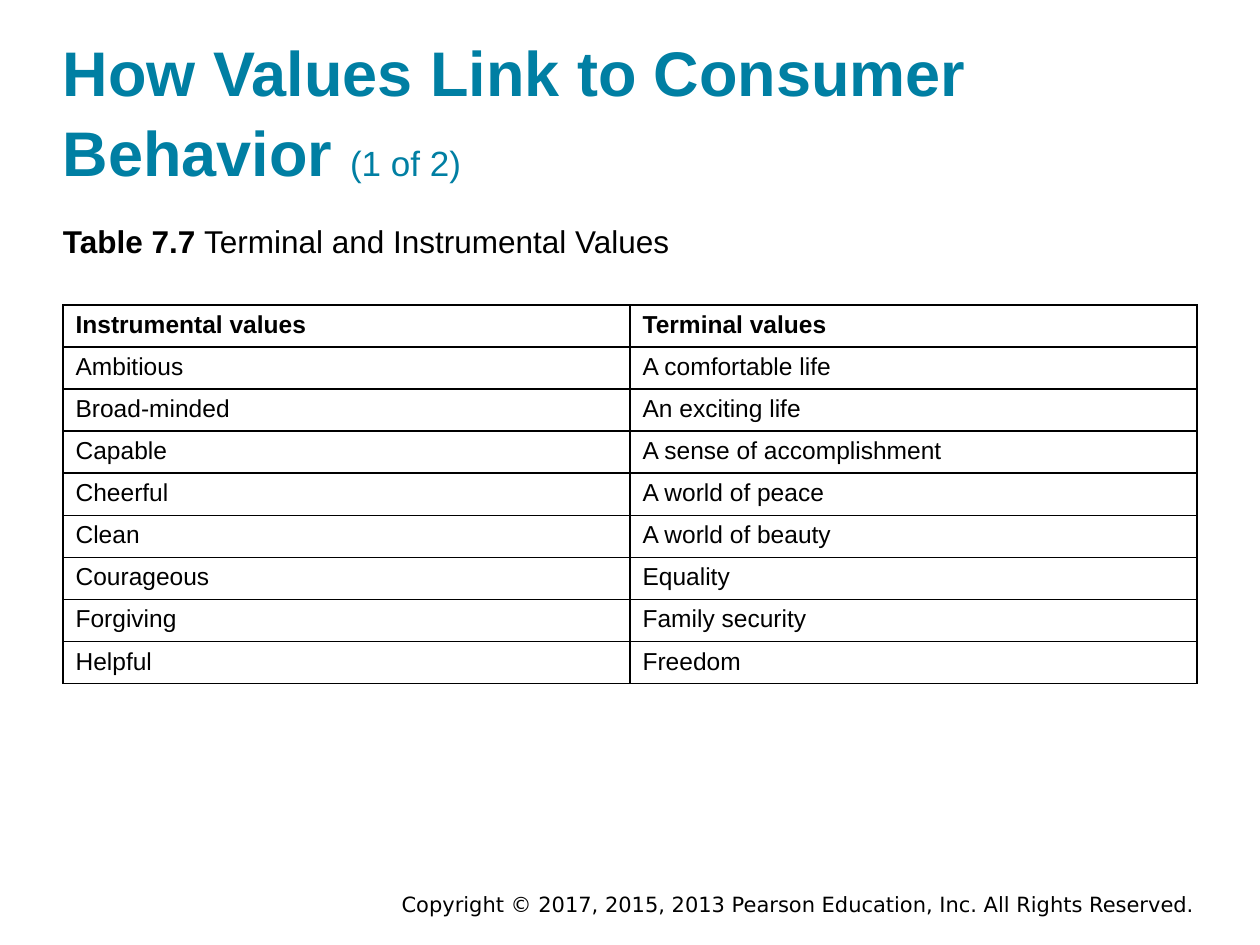
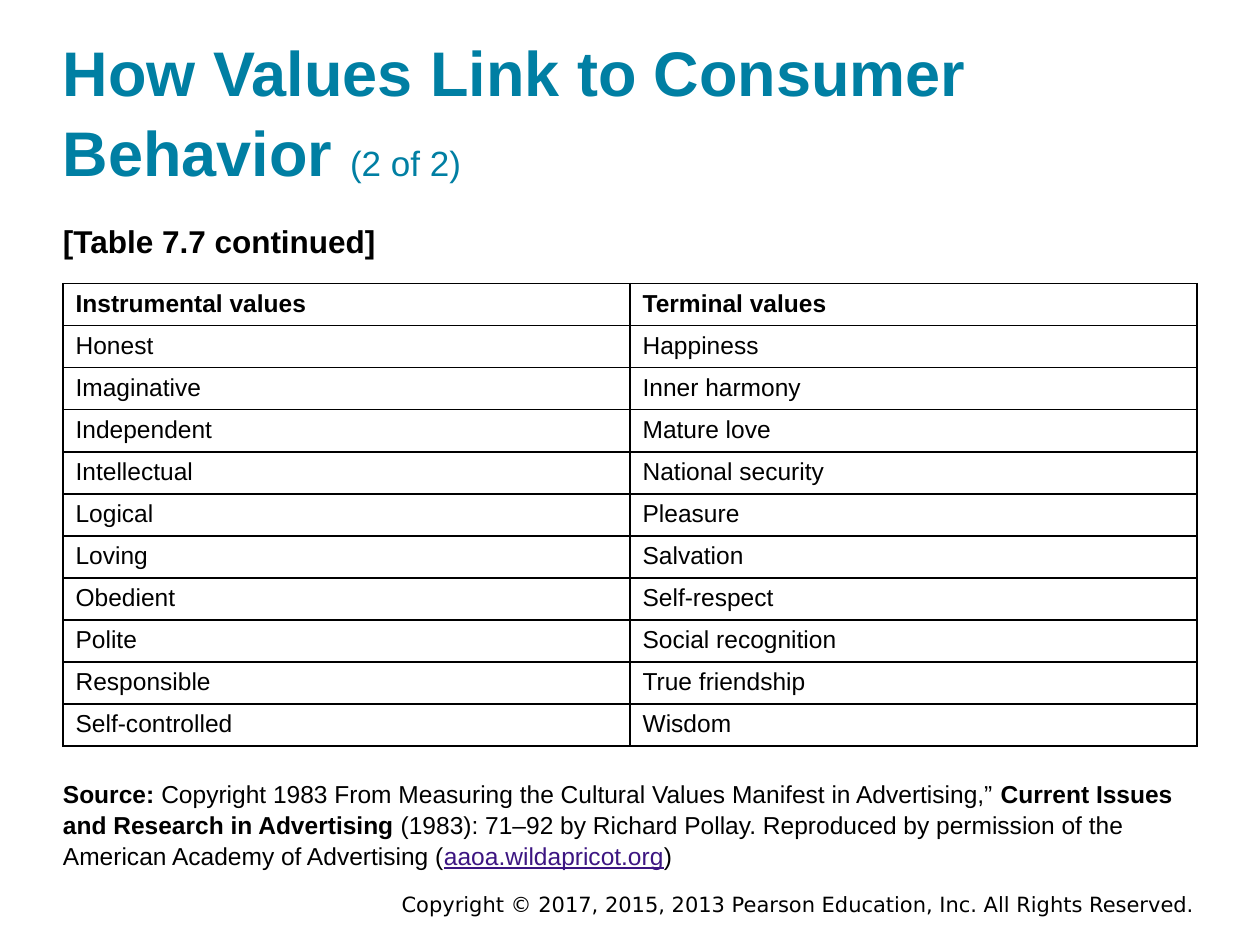
from dataclasses import dataclass
from typing import Optional

from lxml import etree
from pptx import Presentation
from pptx import util as u
from pptx.dml.color import RGBColor
from pptx.enum import text as txt
from pptx.oxml.ns import qn

COLOURS = {"heading": "007FA3", "body": "000000", "link": "3C1581", "rule": "000000"}
FONT, FOOTER_FONT = "Arial", "DejaVu Sans"
LEFT, CONTENT_WIDTH = 0.5, 9
ROW_HEIGHT = 0.27
LINE_SPACING = 1.05
HEADING = "How Values Link to Consumer Behavior "
COPYRIGHT = "Copyright © 2017, 2015, 2013 Pearson Education, Inc. All Rights Reserved."
COLUMN_HEADS = ("Instrumental values", "Terminal values")


@dataclass(frozen=True)
class Span:
    text: str
    size: float
    bold: bool = False
    colour: str = "body"
    underline: bool = False
    font: str = FONT


@dataclass(frozen=True)
class Block:
    left: float
    top: float
    width: float
    height: float
    align: txt.PP_ALIGN = txt.PP_ALIGN.LEFT
    inset: tuple[float, float] = (0, 0)
    spacing: Optional[float] = LINE_SPACING


@dataclass(frozen=True)
class ValuesPage:
    caption: list[Span]
    table_top: float
    values: list[tuple[str, str]]
    source: Optional[list[Span]] = None


TITLE = Block(LEFT, 0.24, CONTENT_WIDTH, 1.2)
CAPTION = Block(LEFT, 1.75, CONTENT_WIDTH, 0.33)
SOURCE = Block(LEFT, 6.17, CONTENT_WIDTH, 0.75)
FOOTER = Block(2.83, 7.03, 6.75, 0.3, txt.PP_ALIGN.RIGHT, (0.1, 0.05), None)

PAGES = [
    ValuesPage(
        caption=[Span("Table 7.7 ", 18, True),
                 Span("Terminal and Instrumental Values", 18)],
        table_top=2.42,
        values=[
            ("Ambitious", "A comfortable life"),
            ("Broad-minded", "An exciting life"),
            ("Capable", "A sense of accomplishment"),
            ("Cheerful", "A world of peace"),
            ("Clean", "A world of beauty"),
            ("Courageous", "Equality"),
            ("Forgiving", "Family security"),
            ("Helpful", "Freedom"),
        ],
    ),
    ValuesPage(
        caption=[Span("[Table 7.7 continued]", 18, True)],
        table_top=2.25,
        values=[
            ("Honest", "Happiness"),
            ("Imaginative", "Inner harmony"),
            ("Independent", "Mature love"),
            ("Intellectual", "National security"),
            ("Logical", "Pleasure"),
            ("Loving", "Salvation"),
            ("Obedient", "Self-respect"),
            ("Polite", "Social recognition"),
            ("Responsible", "True friendship"),
            ("Self-controlled", "Wisdom"),
        ],
        source=[
            Span("Source: ", 14, True),
            Span("Copyright 1983 From Measuring the Cultural Values Manifest"
                 " in Advertising,” ", 14),
            Span("Current Issues and Research in Advertising ", 14, True),
            Span("(1983): 71–92 by Richard Pollay. Reproduced by permission of"
                 " the American Academy of Advertising (", 14),
            Span("aaoa.wildapricot.org", 14, colour="link", underline=True),
            Span(")", 14),
        ],
    ),
]


def add_spans(paragraph, spans: list[Span]) -> None:
    for span in spans:
        run = paragraph.add_run()
        run.text = span.text
        run.font.name = span.font
        run.font.size = u.Pt(span.size)
        run.font.bold = span.bold
        run.font.underline = span.underline
        run.font.color.rgb = RGBColor.from_string(COLOURS[span.colour])


def add_block(slide, block: Block, spans: list[Span]) -> None:
    frame = slide.shapes.add_textbox(
        u.Inches(block.left), u.Inches(block.top),
        u.Inches(block.width), u.Inches(block.height)).text_frame
    frame.word_wrap = True
    frame.margin_left = frame.margin_right = u.Inches(block.inset[0])
    frame.margin_top = frame.margin_bottom = u.Inches(block.inset[1])
    paragraph = frame.paragraphs[0]
    paragraph.alignment = block.align
    paragraph.line_spacing = block.spacing
    add_spans(paragraph, spans)


def rule_cell(cell) -> None:
    """Draw a 1 pt rule on all four sides of an unfilled cell."""
    cell.fill.background()
    properties = cell._tc.get_or_add_tcPr()
    for position, side in enumerate(("a:lnL", "a:lnR", "a:lnT", "a:lnB")):
        line = etree.Element(qn(side), w=str(u.Pt(1)))
        fill = etree.SubElement(line, qn("a:solidFill"))
        etree.SubElement(fill, qn("a:srgbClr"), val=COLOURS["rule"])
        properties.insert(position, line)


def add_values_table(slide, top: float, values: list[tuple[str, str]]) -> None:
    rows = [COLUMN_HEADS, *values]
    table = slide.shapes.add_table(
        len(rows), len(COLUMN_HEADS), u.Inches(LEFT), u.Inches(top),
        u.Inches(CONTENT_WIDTH), u.Inches(ROW_HEIGHT * len(rows))).table
    table.horz_banding = False
    for row_index, row in enumerate(rows):
        table.rows[row_index].height = u.Inches(ROW_HEIGHT)
        for column_index, value in enumerate(row):
            cell = table.cell(row_index, column_index)
            rule_cell(cell)
            add_spans(cell.text_frame.paragraphs[0],
                      [Span(value, 14, bold=row_index == 0)])


def add_page(deck, page: ValuesPage, number: int) -> None:
    slide = deck.slides.add_slide(deck.slide_layouts[6])
    # Footer and title
    add_block(slide, FOOTER, [Span(COPYRIGHT, 12, font=FOOTER_FONT)])
    add_block(slide, TITLE, [
        Span(HEADING, 36, True, "heading"),
        Span(f"({number} of {len(PAGES)})", 20, colour="heading")])
    # Caption, table and source
    add_block(slide, CAPTION, page.caption)
    add_values_table(slide, page.table_top, page.values)
    if page.source:
        add_block(slide, SOURCE, page.source)


def main() -> None:
    deck = Presentation()
    deck.slide_width, deck.slide_height = u.Inches(10), u.Inches(7.5)
    for number, page in enumerate(PAGES, start=1):
        add_page(deck, page, number)
    deck.save("out.pptx")


if __name__ == "__main__":
    main()
